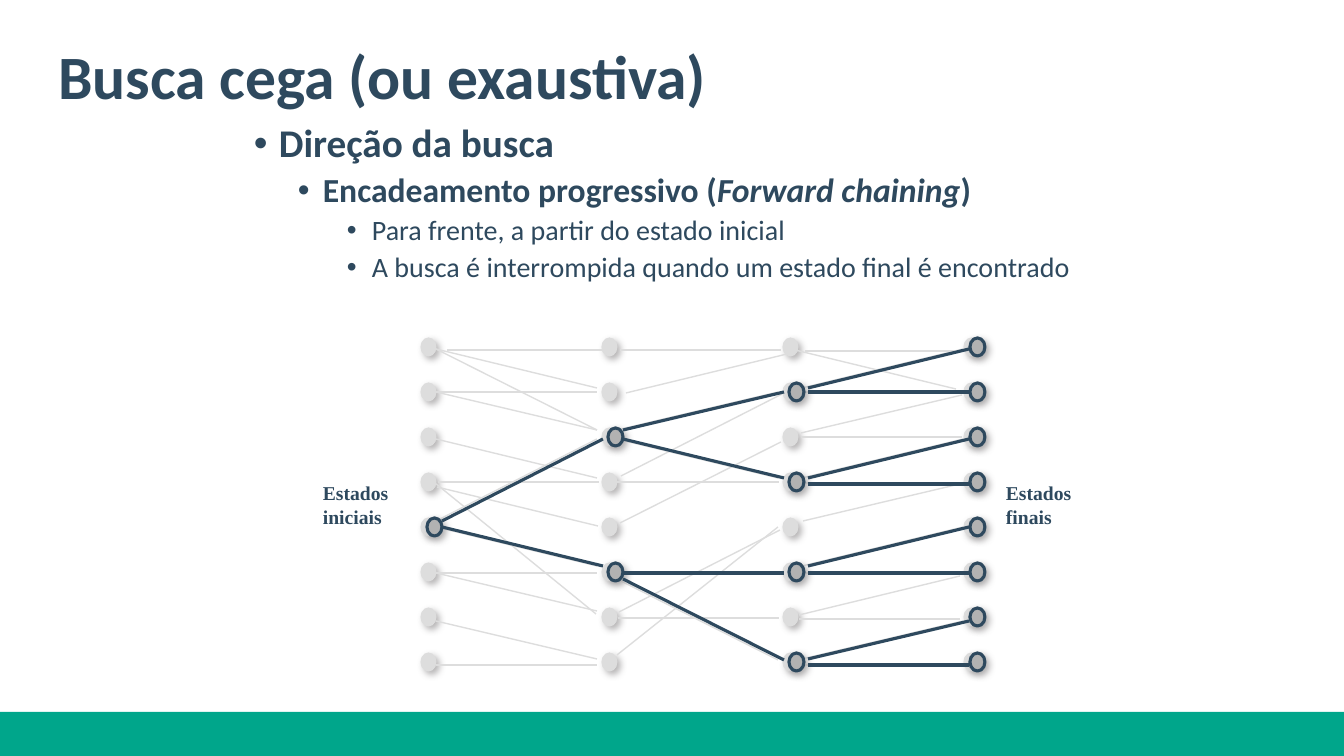
from itertools import product

from lxml import etree
from pptx import Presentation
from pptx.dml.color import RGBColor
from pptx.enum.shapes import MSO_CONNECTOR, MSO_SHAPE
from pptx.enum.text import MSO_ANCHOR, PP_ALIGN
from pptx.oxml.ns import qn
from pptx.util import Emu, Pt

# Content
TITLE = "Busca cega (ou exaustiva)"
# level, size, bold, runs as (text, italic)
OUTLINE = [
    (1, 28, True, [("Direção da busca", False)]),
    (2, 24, True, [("Encadeamento progressivo (", False),
                   ("Forward chaining", True), (")", False)]),
    (3, 20, False, [("Para frente, a partir do estado inicial", False)]),
    (3, 20, False, [("A busca é interrompida quando um estado final "
                     "é encontrado", False)]),
]
OUTLINE_INDENT = {1: 76, 2: 120, 3: 169}
STATE_LABELS = [(313, ["Estados", "iniciais"]), (996, ["Estados", "finais"])]

# Search graph: nodes as column -> rows, edges as left x -> (left y, right y)
COLUMNS, ROWS = 4, 8
FOUND_NODES = {0: [4], 1: [2, 5], 2: [1, 3, 5, 7], 3: range(ROWS)}
ALL_EDGES = {
    435: [(483, 614)],
    436: [(349, 388), (392, 392), (439, 478), (527, 566), (573, 573),
          (621, 659), (665, 665), (521, 439), (573, 611), (349, 430),
          (392, 430)],
    437: [(487, 526)],
    438: [(482, 482)],
    447: [(350, 350)],
    614: [(482, 482)],
    617: [(430, 392), (573, 573), (439, 478), (579, 660), (655, 527)],
    618: [(618, 618), (482, 482)],
    619: [(612, 530)],
    620: [(523, 442), (350, 350)],
    621: [(476, 394)],
    626: [(393, 354)],
    795: [(350, 389)],
    799: [(615, 576), (619, 619)],
    801: [(433, 395), (437, 437)],
    802: [(388, 349), (392, 392), (478, 439), (566, 527), (573, 573),
          (659, 621), (665, 665)],
    803: [(521, 483), (483, 483)],
    805: [(351, 351)],
}
FOUND_EDGES = {
    442: [(527, 566), (521, 439)],
    623: [(430, 392), (573, 573), (439, 478), (579, 660)],
    808: [(388, 349), (392, 392), (478, 439), (484, 484), (566, 527),
          (573, 573), (659, 621), (665, 665)],
}

# Look
NAVY, GREEN, PALE, GREY, SHADOW = "2E495E", "00A68B", "DDDDDD", "B2B2B2", "9F9D9E"
SLIDE_W, SLIDE_H = 1344, 756
NODE_X, NODE_Y, NODE_W, NODE_H = 421, 338, 15, 18
COLUMN_STEP, ROW_STEP, FOUND_SHIFT = 181, 45, 6
EDGE_W = 161


def px(length):
    return Emu(round(length * 914400 / 100.8))


def color(code):
    return RGBColor.from_string(code)


def place(shape, left, top, width, height):
    shape.left, shape.top = px(left), px(top)
    shape.width, shape.height = px(width), px(height)


def write(paragraph, runs, size=14, font="Calibri", bold=True, spacing=None,
          before=0):
    paragraph.alignment = PP_ALIGN.LEFT
    paragraph.space_before = Pt(before)
    if spacing:
        paragraph.line_spacing = spacing
    for text, italic in runs:
        run = paragraph.add_run()
        run.text = text
        run.font.size, run.font.name = Pt(size), font
        run.font.bold, run.font.italic = bold, italic
        run.font.color.rgb = color(NAVY)


def add_bullet(paragraph, indent):
    properties = paragraph._p.get_or_add_pPr()
    properties.set("marL", str(px(indent)))
    properties.set("indent", str(px(-25)))
    etree.SubElement(properties, qn("a:buFont"), typeface="Arial")
    etree.SubElement(properties, qn("a:buChar"), char="•")


def add_node(shapes, column, row, shift, fill, line, weight):
    node = shapes.add_shape(
        MSO_SHAPE.OVAL, px(NODE_X + column * COLUMN_STEP + shift),
        px(NODE_Y + row * ROW_STEP), px(NODE_W), px(NODE_H))
    node.fill.solid()
    node.fill.fore_color.rgb = color(fill)
    node.line.color.rgb = color(line)
    node.line.width = Pt(weight)
    effects = etree.SubElement(node._element.spPr, qn("a:effectLst"))
    shadow = etree.SubElement(effects, qn("a:outerShdw"), blurRad=str(Pt(5)),
                              dist=str(Pt(3)), dir="2700000")
    tint = etree.SubElement(shadow, qn("a:srgbClr"), val=SHADOW)
    etree.SubElement(tint, qn("a:alpha"), val="75000")


def add_edges(shapes, edges, line, weight):
    for left, heights in edges.items():
        for start, end in heights:
            edge = shapes.add_connector(MSO_CONNECTOR.STRAIGHT, px(left),
                                        px(start), px(left + EDGE_W), px(end))
            edge.line.color.rgb = color(line)
            edge.line.width = Pt(weight)
            etree.SubElement(edge._element.spPr, qn("a:effectLst"))


def main():
    deck = Presentation()
    deck.slide_width, deck.slide_height = px(SLIDE_W), px(SLIDE_H)
    slide = deck.slides.add_slide(deck.slide_layouts[5])
    shapes = slide.shapes

    # Footer band
    band = shapes.add_shape(MSO_SHAPE.RECTANGLE, 0, px(712), px(SLIDE_W), px(44))
    band.fill.solid()
    band.fill.fore_color.rgb = color(GREEN)
    band.line.fill.background()
    band.shadow.inherit = False

    # Whole state space
    for column, row in product(range(COLUMNS), range(ROWS)):
        add_node(shapes, column, row, 0, PALE, PALE, 0.75)
    add_edges(shapes, ALL_EDGES, PALE, 1)

    # State labels
    for left, lines in STATE_LABELS:
        label = shapes.add_textbox(px(left), px(476), px(92), px(57)).text_frame
        label.word_wrap = True
        label.vertical_anchor = MSO_ANCHOR.MIDDLE
        for index, text in enumerate(lines):
            paragraph = label.add_paragraph() if index else label.paragraphs[0]
            write(paragraph, [(text, False)], font="Times New Roman")

    # Title
    title = shapes.title
    place(title, 48, 7, 1159, 146)
    title.text_frame.vertical_anchor = MSO_ANCHOR.MIDDLE
    write(title.text_frame.paragraphs[0], [(TITLE, False)], size=44, spacing=0.9)

    # Outline
    outline = shapes.add_textbox(px(193), px(119), px(958), px(233)).text_frame
    outline.word_wrap = True
    outline.margin_right = 0
    for index, (level, size, bold, runs) in enumerate(OUTLINE):
        paragraph = outline.add_paragraph() if index else outline.paragraphs[0]
        paragraph.level = level
        add_bullet(paragraph, OUTLINE_INDENT[level])
        write(paragraph, runs, size=size, bold=bold, spacing=0.9,
              before=5 if index else 0)

    # Forward search tree
    for column, rows in FOUND_NODES.items():
        for row in rows:
            add_node(shapes, column, row, FOUND_SHIFT, GREY, NAVY, 2.25)
    add_edges(shapes, FOUND_EDGES, NAVY, 2.25)

    deck.save("out.pptx")


if __name__ == "__main__":
    main()
